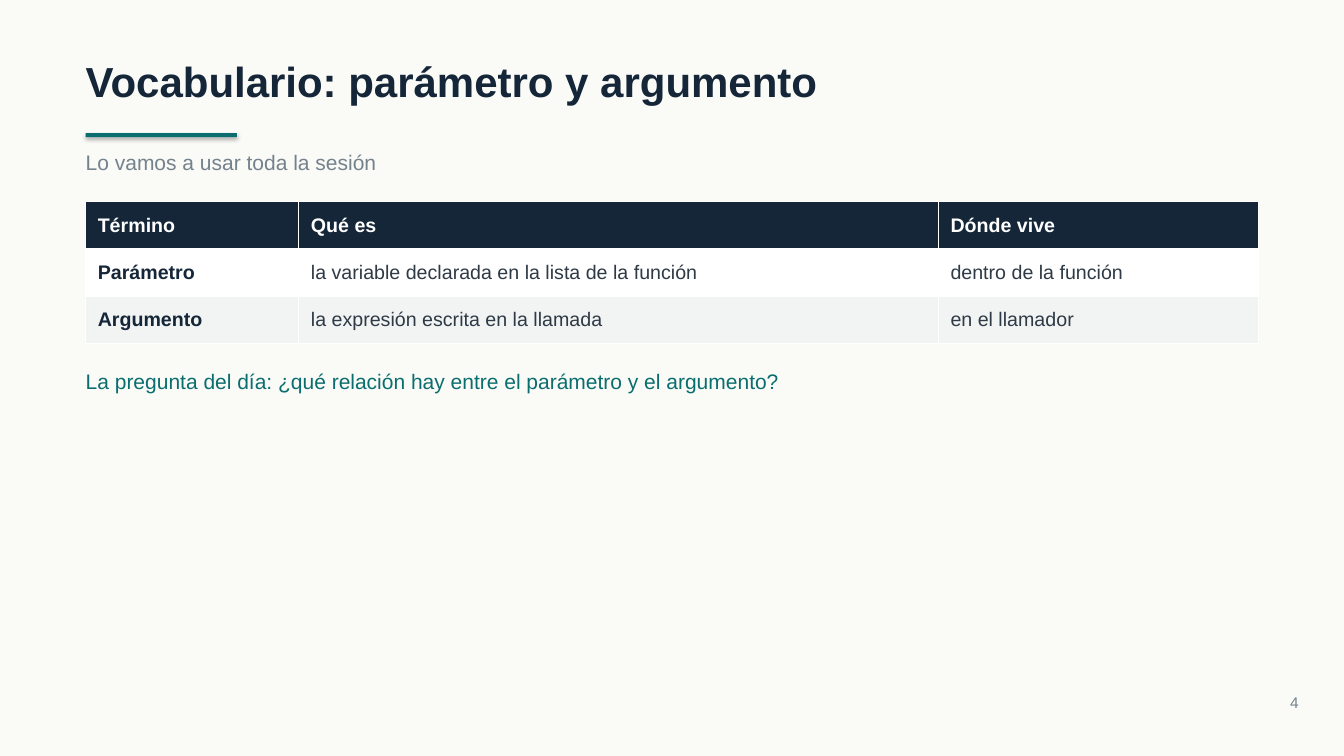
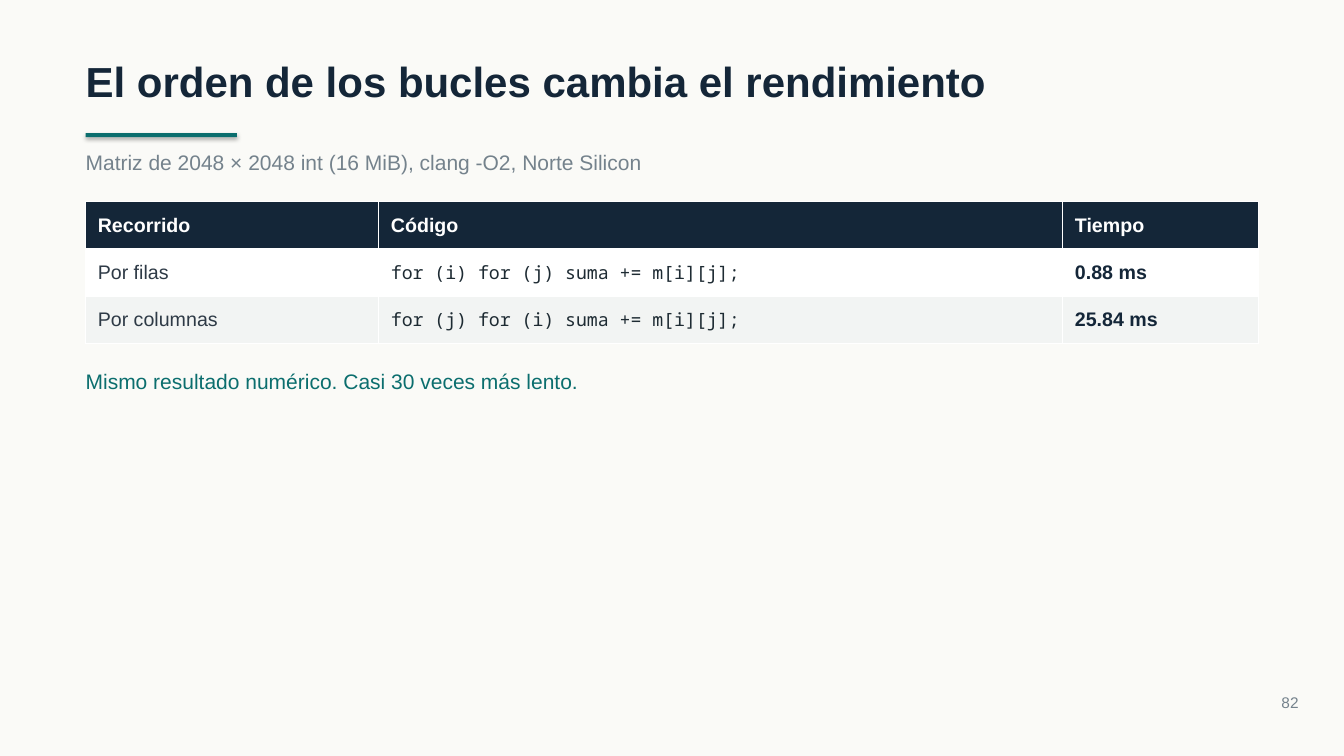
"""Build two lesson slides that share a title, a rule, a table and a note."""
from dataclasses import dataclass

from lxml import etree
from pptx import Presentation
from pptx.dml.color import RGBColor
from pptx.enum.shapes import MSO_SHAPE
from pptx.enum.text import MSO_ANCHOR, MSO_AUTO_SIZE, PP_ALIGN
from pptx.oxml.ns import qn
from pptx.util import Inches, Pt

RECT = MSO_SHAPE.RECTANGLE
TOP, MIDDLE = MSO_ANCHOR.TOP, MSO_ANCHOR.MIDDLE
GROW = MSO_AUTO_SIZE.SHAPE_TO_FIT_TEXT
LEFT, RIGHT = PP_ALIGN.LEFT, PP_ALIGN.RIGHT

WIDE, HIGH = 13.33, 7.5
SIDE = 0.85
SPAN = WIDE - 2 * SIDE
ROW = 0.47
PAPER, NAVY, TEAL, GRAY = "FAFAF7", "142638", "0B6E6E", "74828C"
INK, DARK, WHITE, PALE = "2E3A46", "1E2B33", "FFFFFF", "F2F4F3"
SANS, MONO = "Arial", "Noto Sans Mono"

HEAD = dict(color=WHITE, bold=True)
BODY = dict(color=INK)
BOLD = dict(color=NAVY, bold=True)
CODE = dict(color=DARK, size=13, font=MONO)


@dataclass
class Page:
    title: str
    lead: str
    rows: list[list[str]]
    shares: list[int]
    looks: list[dict]
    note: str
    number: int


PAGES = [
    Page(
        "Vocabulario: parámetro y argumento",
        "Lo vamos a usar toda la sesión",
        [["Término", "Qué es", "Dónde vive"],
         ["Parámetro", "la variable declarada en la lista de la función",
          "dentro de la función"],
         ["Argumento", "la expresión escrita en la llamada",
          "en el llamador"]],
        [2, 6, 3],
        [BOLD, BODY, BODY],
        "La pregunta del día: ¿qué relación hay entre el parámetro y el argumento?",
        4,
    ),
    Page(
        "El orden de los bucles cambia el rendimiento",
        "Matriz de 2048 × 2048 int (16 MiB), clang -O2, Norte Silicon",
        [["Recorrido", "Código", "Tiempo"],
         ["Por filas", "for (i) for (j) suma += m[i][j];", "0.88 ms"],
         ["Por columnas", "for (j) for (i) suma += m[i][j];", "25.84 ms"]],
        [3, 7, 2],
        [BODY, CODE, BOLD],
        "Mismo resultado numérico. Casi 30 veces más lento.",
        82,
    ),
]


def paint(fill, color: str) -> None:
    fill.solid()
    fill.fore_color.rgb = RGBColor.from_string(color)


def write(frame, text: str, *, size: float = 14, color: str = INK,
          bold: bool = False, font: str = SANS, align=LEFT) -> None:
    para = frame.paragraphs[0]
    para.alignment = align
    run = para.add_run()
    run.text = text
    run.font.size, run.font.name, run.font.bold = Pt(size), font, bold
    paint(run.font.fill, color)


def label(shape, box: tuple, text: str, **look) -> None:
    shape.left, shape.top, shape.width, shape.height = map(Inches, box)
    frame = shape.text_frame
    frame.margin_left = frame.margin_right = 0
    frame.margin_top = frame.margin_bottom = 0
    frame.word_wrap = True
    frame.auto_size = GROW
    frame.vertical_anchor = TOP
    write(frame, text, **look)


def note(slide, box: tuple, text: str, **look) -> None:
    label(slide.shapes.add_textbox(0, 0, 0, 0), box, text, **look)


def edge(cell) -> None:
    props = cell._tc.get_or_add_tcPr()
    for name in ("a:lnL", "a:lnR", "a:lnT", "a:lnB"):
        line = etree.SubElement(props, qn(name), w=str(Pt(0.96)))
        fill = etree.SubElement(line, qn("a:solidFill"))
        etree.SubElement(fill, qn("a:srgbClr"), val=WHITE)


def grid(slide, top: float, page: Page) -> None:
    count = len(page.rows)
    box = map(Inches, (SIDE, top, SPAN, ROW * count))
    table = slide.shapes.add_table(count, len(page.shares), *box).table
    for col, share in zip(table.columns, page.shares):
        col.width = Inches(SPAN * share / sum(page.shares))
    for r, texts in enumerate(page.rows):
        table.rows[r].height = Inches(ROW)
        tone = NAVY if r == 0 else WHITE if r % 2 else PALE
        for c, text in enumerate(texts):
            cell = table.cell(r, c)
            edge(cell)
            paint(cell.fill, tone)
            cell.margin_left = cell.margin_right = Inches(0.12)
            cell.margin_top = cell.margin_bottom = Inches(0.05)
            cell.vertical_anchor = MIDDLE
            write(cell.text_frame, text, **(page.looks[c] if r else HEAD))


def rule(slide) -> None:
    bar = slide.shapes.add_shape(RECT, *map(Inches, (SIDE, 1.32, 1.5, 0.04)))
    paint(bar.fill, TEAL)
    bar.line.fill.background()


def draw(deck, page: Page) -> None:
    slide = deck.slides.add_slide(deck.slide_layouts.get_by_name("Title Only"))
    label(slide.shapes.title, (SIDE, 0.55, SPAN, 0.5), page.title,
          size=30, color=NAVY, bold=True)
    rule(slide)
    note(slide, (SIDE, 1.48, SPAN, 0.25), page.lead, size=15, color=GRAY)
    grid(slide, 2, page)
    foot = 2 + ROW * len(page.rows) + 0.25
    note(slide, (SIDE, foot, SPAN, 0.25), page.note, size=15, color=TEAL)
    note(slide, (WIDE - 1.35, 6.88, 0.9, 0.18), str(page.number),
         size=11, color=GRAY, align=RIGHT)


def main() -> None:
    deck = Presentation()
    deck.slide_width, deck.slide_height = Inches(WIDE), Inches(HIGH)
    paint(deck.slide_master.background.fill, PAPER)
    for page in PAGES:
        draw(deck, page)
    deck.save("out.pptx")


if __name__ == "__main__":
    main()
